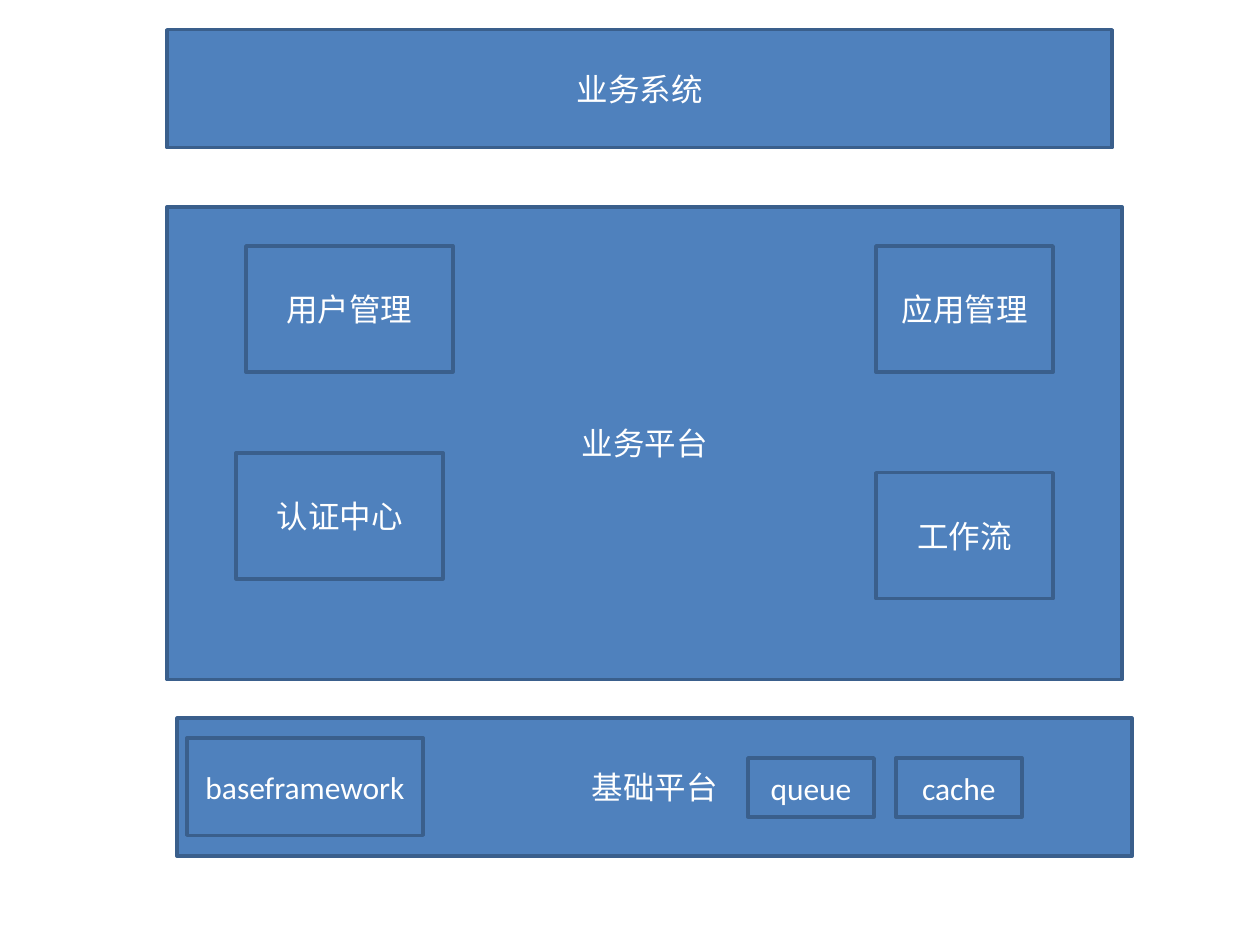
from pptx import Presentation
from pptx.dml.color import RGBColor
from pptx.enum.shapes import MSO_SHAPE
from pptx.enum.text import MSO_ANCHOR, PP_ALIGN
from pptx.util import Cm, Pt


def paint(color, hex_value):
    color.rgb = RGBColor.from_string(hex_value)


def add_block(slide, label, left, top, width, height):
    block = slide.shapes.add_shape(
        MSO_SHAPE.RECTANGLE, Cm(left), Cm(top), Cm(width), Cm(height))
    block.shadow.inherit = False
    block.fill.solid()
    paint(block.fill.fore_color, "4F81BD")
    paint(block.line.color, "3A5F8C")
    block.line.width = Pt(2)
    frame = block.text_frame
    frame.word_wrap = True
    frame.vertical_anchor = MSO_ANCHOR.MIDDLE
    frame.text = label
    paragraph = frame.paragraphs[0]
    paragraph.alignment = PP_ALIGN.CENTER
    font = paragraph.runs[0].font
    font.name = "Calibri"
    font.size = Pt(18)
    paint(font.color, "FFFFFF")


deck = Presentation()
deck.slide_width = Cm(25.4)
deck.slide_height = Cm(19.05)
architecture = deck.slides.add_slide(deck.slide_layouts[6])

layers = [
    ("业务系统", 3.37, 0.6, 19.05, 2.38),
    ("业务平台", 3.37, 4.17, 19.25, 9.53),
    ("基础平台", 3.57, 14.48, 19.25, 2.78),
]
platform_modules = [
    ("用户管理", 4.96, 4.96, 4.17, 2.54),
    ("认证中心", 4.76, 9.13, 4.17, 2.54),
    ("应用管理", 17.66, 4.96, 3.57, 2.54),
    ("工作流", 17.66, 9.53, 3.57, 2.54),
]
foundation_modules = [
    ("baseframework", 3.77, 14.88, 4.76, 1.96),
    ("queue", 15.08, 15.28, 2.54, 1.19),
    ("cache", 18.06, 15.28, 2.54, 1.19),
]
for block in layers + platform_modules + foundation_modules:
    add_block(architecture, *block)

deck.save("out.pptx")
